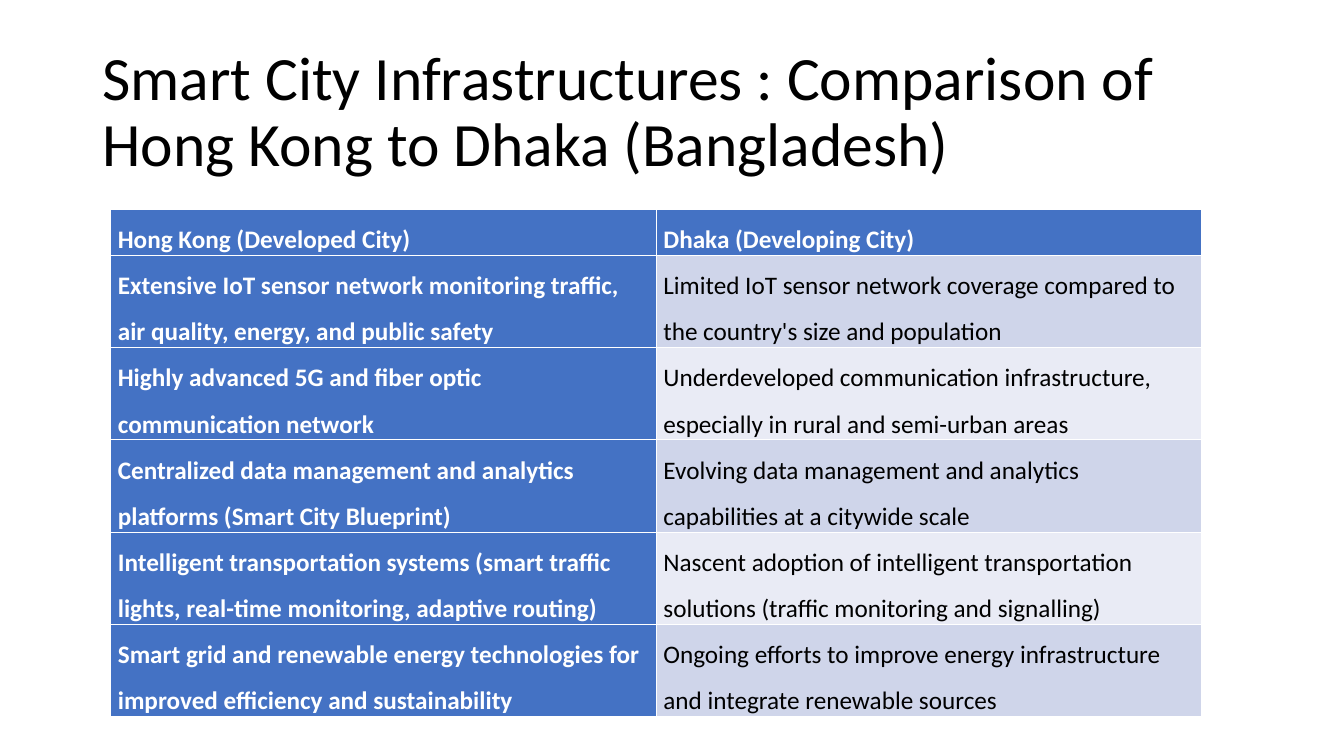
import pptx
import pptx.dml.color
import pptx.enum.text
import pptx.util

Pt = pptx.util.Pt

# Content
TITLE = "Smart City Infrastructures : Comparison of Hong Kong to Dhaka (Bangladesh)"
ROWS = [
    ("Hong Kong (Developed City)", "Dhaka (Developing City)"),
    ("Extensive IoT sensor network monitoring traffic, air quality, energy, and public safety",
     "Limited IoT sensor network coverage compared to the country's size and population"),
    ("Highly advanced 5G and fiber optic communication network",
     "Underdeveloped communication infrastructure, especially in rural and semi-urban areas"),
    ("Centralized data management and analytics platforms (Smart City Blueprint)",
     "Evolving data management and analytics capabilities at a citywide scale"),
    ("Intelligent transportation systems (smart traffic lights, real-time monitoring, adaptive routing)",
     "Nascent adoption of intelligent transportation solutions (traffic monitoring and signalling)"),
    ("Smart grid and renewable energy technologies for improved efficiency and sustainability",
     "Ongoing efforts to improve energy infrastructure and integrate renewable sources"),
]
COLORS = {"text": "000000", "inverse": "FFFFFF", "heading": "4472C4",
          "odd": "CFD5EA", "even": "E9EBF5"}
FONT = "Calibri"
LINE_HEIGHT = 30.55  # header has one line, other rows two


def color(name):
    return pptx.dml.color.RGBColor.from_string(COLORS[name])


def format_text(frame, size, color_name, bold, spacing):
    para = frame.paragraphs[0]
    para.alignment = pptx.enum.text.PP_ALIGN.LEFT
    para.line_spacing = spacing
    for span in para.runs:
        span.font.name = FONT
        span.font.size = Pt(size)
        span.font.bold = bold
        span.font.color.rgb = color(color_name)


deck = pptx.Presentation()
deck.slide_width, deck.slide_height = Pt(960), Pt(540)
page = deck.slides.add_slide(deck.slide_layouts[5])

# Title
title = page.shapes.title
title.left, title.top, title.width, title.height = Pt(66), Pt(28.75), Pt(828), Pt(104.4)
title.text_frame.text = TITLE
title.text_frame.word_wrap = True
title.text_frame.auto_size = pptx.enum.text.MSO_AUTO_SIZE.NONE
title.text_frame.vertical_anchor = pptx.enum.text.MSO_ANCHOR.MIDDLE
format_text(title.text_frame, 44, "text", False, 0.9)

# Comparison table; its default style draws the white rules
table_height = LINE_HEIGHT * (2 * len(ROWS) - 1)
table = page.shapes.add_table(len(ROWS), 2, Pt(79.2), Pt(149.4),
                              Pt(779.4), Pt(table_height)).table
table.first_col = True
for row_index, texts in enumerate(ROWS):
    table.rows[row_index].height = Pt(LINE_HEIGHT * (2 if row_index else 1))
    for column_index, text in enumerate(texts):
        is_heading = row_index == 0 or column_index == 0
        band = "odd" if row_index % 2 else "even"
        cell = table.cell(row_index, column_index)
        cell.text_frame.text = text
        cell.margin_left = cell.margin_right = Pt(5)
        cell.margin_top = cell.margin_bottom = Pt(0)
        cell.fill.solid()
        cell.fill.fore_color.rgb = color("heading" if is_heading else band)
        format_text(cell.text_frame, 18, "inverse" if is_heading else "text", is_heading, 1.5)

deck.save("out.pptx")
